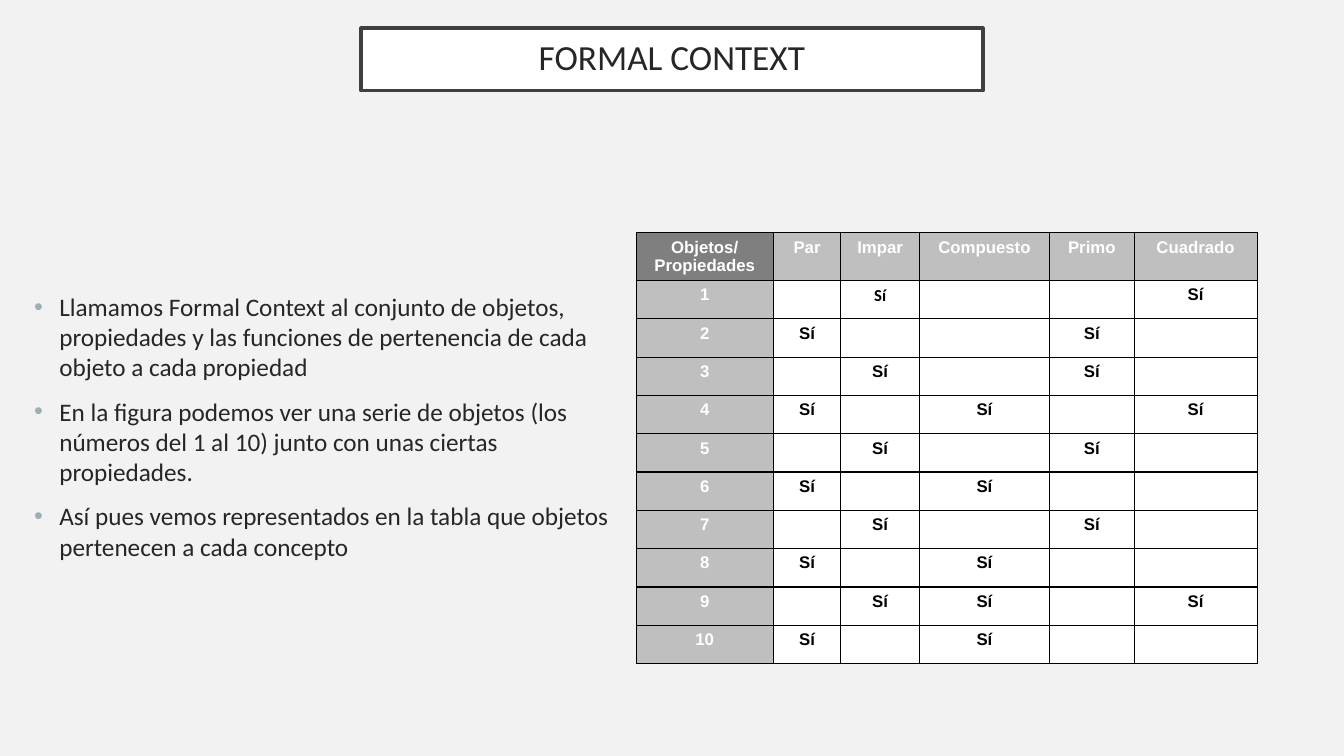
from dataclasses import dataclass

from lxml.etree import SubElement
from pptx import Presentation
from pptx.dml.color import RGBColor
from pptx.enum.shapes import MSO_SHAPE as Shape
from pptx.enum.text import MSO_ANCHOR as Anchor, PP_ALIGN as Align
from pptx.oxml.ns import qn
from pptx.util import Inches, Pt


@dataclass(frozen=True)
class Theme:
    background: str = "F2F2F2"
    white: str = "FFFFFF"
    black: str = "000000"
    text: str = "262626"
    frame: str = "3F3F3F"
    bullet: str = "9BAFB5"
    corner: str = "7F7F7F"
    header: str = "BFBFBF"
    body_font: str = "Calibri"
    table_font: str = "Arial"
    title_size: float = 25.2
    body_size: float = 18
    table_size: float = 12


class SlideBuilder:
    def __init__(self, slide, theme):
        self.slide = slide
        self.theme = theme
        self.fill(slide.background.fill, theme.background)

    def fill(self, fill, color):
        fill.solid()
        fill.fore_color.rgb = RGBColor.from_string(color)

    def run(self, paragraph, text, size, color, font, bold=False):
        run = paragraph.add_run()
        run.text = text
        run.font.size = Pt(size)
        run.font.name = font
        run.font.bold = bold
        run.font.color.rgb = RGBColor.from_string(color)

    def title(self, text, left, top, width, height):
        theme = self.theme
        shape = self.slide.shapes.add_shape(
            Shape.RECTANGLE, Inches(left), Inches(top), Inches(width), Inches(height))
        shape.shadow.inherit = False
        self.fill(shape.fill, theme.white)
        self.fill(shape.line.fill, theme.frame)
        shape.line.width = Pt(2.5)
        frame = shape.text_frame
        frame.word_wrap = True
        frame.vertical_anchor = Anchor.MIDDLE
        frame.margin_left = frame.margin_right = Inches(0.2)
        frame.margin_top = frame.margin_bottom = Inches(0.2)
        paragraph = frame.paragraphs[0]
        paragraph.alignment = Align.CENTER
        paragraph.line_spacing = 0.9
        self.run(paragraph, text, theme.title_size, theme.text, theme.body_font)

    def bullets(self, texts, left, top, width, height):
        theme = self.theme
        box = self.slide.shapes.add_textbox(
            Inches(left), Inches(top), Inches(width), Inches(height))
        frame = box.text_frame
        frame.word_wrap = True
        for index, text in enumerate(texts):
            paragraph = frame.add_paragraph() if index else frame.paragraphs[0]
            paragraph.space_before = Pt(10 if index else 0)
            properties = paragraph._p.get_or_add_pPr()
            properties.set("marL", str(Inches(0.25)))
            properties.set("indent", str(Inches(-0.25)))
            color = SubElement(properties, qn("a:buClr"))
            SubElement(color, qn("a:srgbClr"), val=theme.bullet)
            SubElement(properties, qn("a:buFont"), typeface=theme.table_font)
            SubElement(properties, qn("a:buChar"), char="•")
            self.run(paragraph, text, theme.body_size, theme.text, theme.body_font)

    def borders(self, cell):
        properties = cell._tc.get_or_add_tcPr()
        for position, side in enumerate(("a:lnL", "a:lnR", "a:lnT", "a:lnB")):
            line = properties.makeelement(qn(side), {"w": str(Pt(1))})
            solid = SubElement(line, qn("a:solidFill"))
            SubElement(solid, qn("a:srgbClr"), val=self.theme.black)
            properties.insert(position, line)

    def cell(self, cell, text, background, color, font):
        theme = self.theme
        self.fill(cell.fill, background)
        self.borders(cell)
        frame = cell.text_frame
        for index, line in enumerate(text.split("\n")):
            paragraph = frame.add_paragraph() if index else frame.paragraphs[0]
            paragraph.alignment = Align.CENTER
            if line:
                self.run(paragraph, line, theme.table_size, color, font, bold=True)
            else:
                ending = paragraph._p.get_or_add_endParaRPr()
                ending.set("sz", str(theme.table_size * 100))

    def context_table(self, corner, members, objects, left, top, widths, heights):
        theme = self.theme
        table = self.slide.shapes.add_table(
            len(heights), len(widths), Inches(left), Inches(top),
            Inches(sum(widths)), Inches(sum(heights))).table
        table.horz_banding = False
        for column, width in zip(table.columns, widths):
            column.width = Inches(width)
        for row, height in zip(table.rows, heights):
            row.height = Inches(height)

        self.cell(table.cell(0, 0), corner, theme.corner, theme.white, theme.table_font)
        for row, number in enumerate(objects, 1):
            self.cell(table.cell(row, 0), str(number), theme.header,
                      theme.white, theme.table_font)
        for column, (name, owners) in enumerate(members.items(), 1):
            self.cell(table.cell(0, column), name, theme.header,
                      theme.white, theme.table_font)
            for row, number in enumerate(objects, 1):
                font = theme.body_font if (row, column) == (1, 2) else theme.table_font
                self.cell(table.cell(row, column), "Sí" if number in owners else "",
                          theme.white, theme.black, font)


def main():
    presentation = Presentation()
    presentation.slide_width = Inches(13.33)
    presentation.slide_height = Inches(7.5)
    slide = presentation.slides.add_slide(presentation.slide_layouts[6])
    builder = SlideBuilder(slide, Theme())

    builder.title("FORMAL CONTEXT", 3.58, 0.28, 6.17, 0.62)

    members = {
        "Par": range(2, 11, 2),
        "Impar": range(1, 11, 2),
        "Compuesto": (4, 6, 8, 9, 10),
        "Primo": (2, 3, 5, 7),
        "Cuadrado": (1, 4, 9),
    }
    builder.context_table(
        "Objetos/\nPropiedades", members, range(1, 11), 6.31, 2.31,
        widths=[1.36, 0.67, 0.78, 1.29, 0.84, 1.22],
        heights=[0.47] + [0.38] * 10)

    builder.bullets([
        "Llamamos Formal Context al conjunto de objetos, propiedades y las "
        "funciones de pertenencia de cada objeto a cada propiedad",
        "En la figura podemos ver una serie de objetos (los números del 1 al 10) "
        "junto con unas ciertas propiedades.",
        "Así pues vemos representados en la tabla que objetos pertenecen a cada "
        "concepto",
    ], 0.24, 2.84, 5.93, 2.88)

    presentation.save("out.pptx")


if __name__ == "__main__":
    main()
